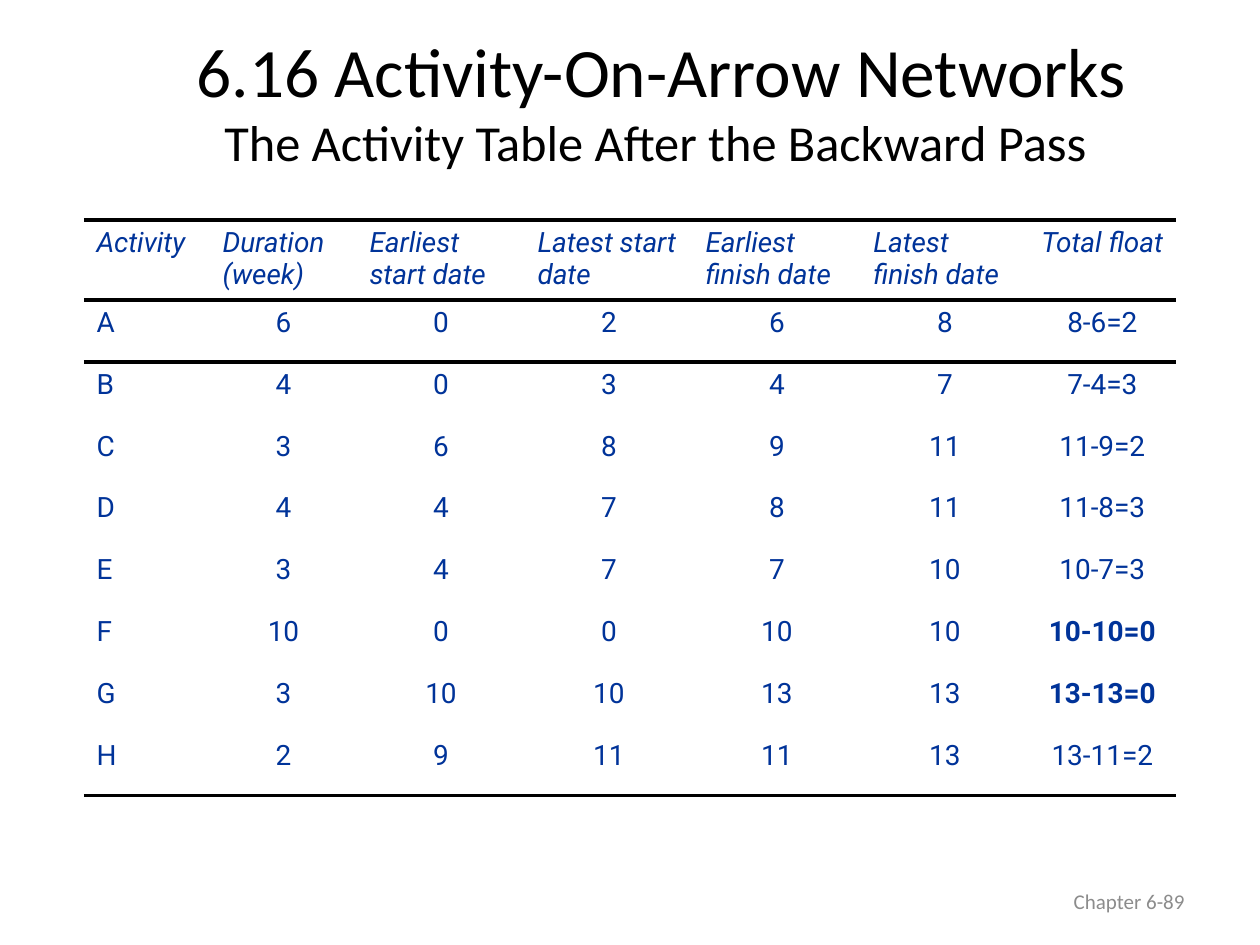
from lxml import etree
from pptx import Presentation, util as u
from pptx.dml.color import RGBColor
from pptx.enum import text
from pptx.oxml import parse_xml
from pptx.oxml.ns import nsdecls, qn

PX = 914400 / 126
BLACK = RGBColor(0, 0, 0)
BLUE = RGBColor(0x00, 0x33, 0x99)
GREY = RGBColor(0x8C, 0x8C, 0x8C)
PLAIN = "{2D5ABB26-0587-4C30-8999-92F81FD0307C}"
LEFT, MID, RIGHT = text.PP_ALIGN.LEFT, text.PP_ALIGN.CENTER, text.PP_ALIGN.RIGHT


def style(para, sizes, font, color, align):
    para.alignment = align
    for run, size in zip(para.runs, sizes):
        run.font.size = u.Pt(size)
        run.font.name = font
        run.font.color.rgb = color


def rule(cell, side):
    line = parse_xml(
        f'<a:{side} {nsdecls("a")} w="{u.Pt(2.25)}"><a:solidFill>'
        f'<a:srgbClr val="{BLACK}"/></a:solidFill></a:{side}>')
    cell._tc.get_or_add_tcPr().insert(0, line)


deck = Presentation()
deck.slide_width, deck.slide_height = u.Inches(10), u.Inches(7.5)
slide = deck.slides.add_slide(deck.slide_layouts[6])

title = "6.16 Activity-On-Arrow Networks\vThe Activity Table After the Backward Pass "
labels = [
    (title, (63, 21, 1197, 158), (39.6, 28.8), BLACK, MID),
    ("Chapter 6-89", (903, 876, 294, 50), (12,), GREY, RIGHT),
]
for words, place, sizes, color, align in labels:
    frame = slide.shapes.add_textbox(*(round(n * PX) for n in place)).text_frame
    frame.word_wrap = True
    frame.vertical_anchor = text.MSO_ANCHOR.MIDDLE
    frame.text = words
    style(frame.paragraphs[0], sizes, "Calibri", color, align)

rows = [
    ("Activity", "Duration (week)", "Earliest start date", "Latest start date",
     "Earliest finish date", "Latest finish date", "Total float"),
    ("A", 6, 0, 2, 6, 8, "8-6=2"),
    ("B", 4, 0, 3, 4, 7, "7-4=3"),
    ("C", 3, 6, 8, 9, 11, "11-9=2"),
    ("D", 4, 4, 7, 8, 11, "11-8=3"),
    ("E", 3, 4, 7, 7, 10, "10-7=3"),
    ("F", 10, 0, 0, 10, 10, "10-10=0"),
    ("G", 3, 10, 10, 13, 13, "13-13=0"),
    ("H", 2, 9, 11, 11, 13, "13-11=2"),
]
widths = [126, 147, 168, 168, 168, 168, 147]
heights = [80] + [62] * 8
box = (84, 220, sum(widths), sum(heights))
table = slide.shapes.add_table(
    len(rows), len(widths), *(round(n * PX) for n in box)).table
table.first_row = table.horz_banding = False
table._tbl.tblPr.find(qn("a:tableStyleId")).text = PLAIN
for col, width in zip(table.columns, widths):
    col.width = round(width * PX)
for row, height in zip(table.rows, heights):
    row.height = round(height * PX)

for r, row in enumerate(rows):
    for c, value in enumerate(row):
        cell = table.cell(r, c)
        cell.fill.background()
        cell.text_frame.text = str(value)
        para = cell.text_frame.paragraphs[0]
        style(para, (16,), "Roboto", BLUE, MID if r and c else LEFT)
        font = para.runs[0].font
        font.italic = r == 0
        font.bold = str(value).endswith("=0")
        if r in (0, len(rows) - 1):
            rule(cell, "lnB")
        if r < 2:
            rule(cell, "lnT")

deck.save("out.pptx")
